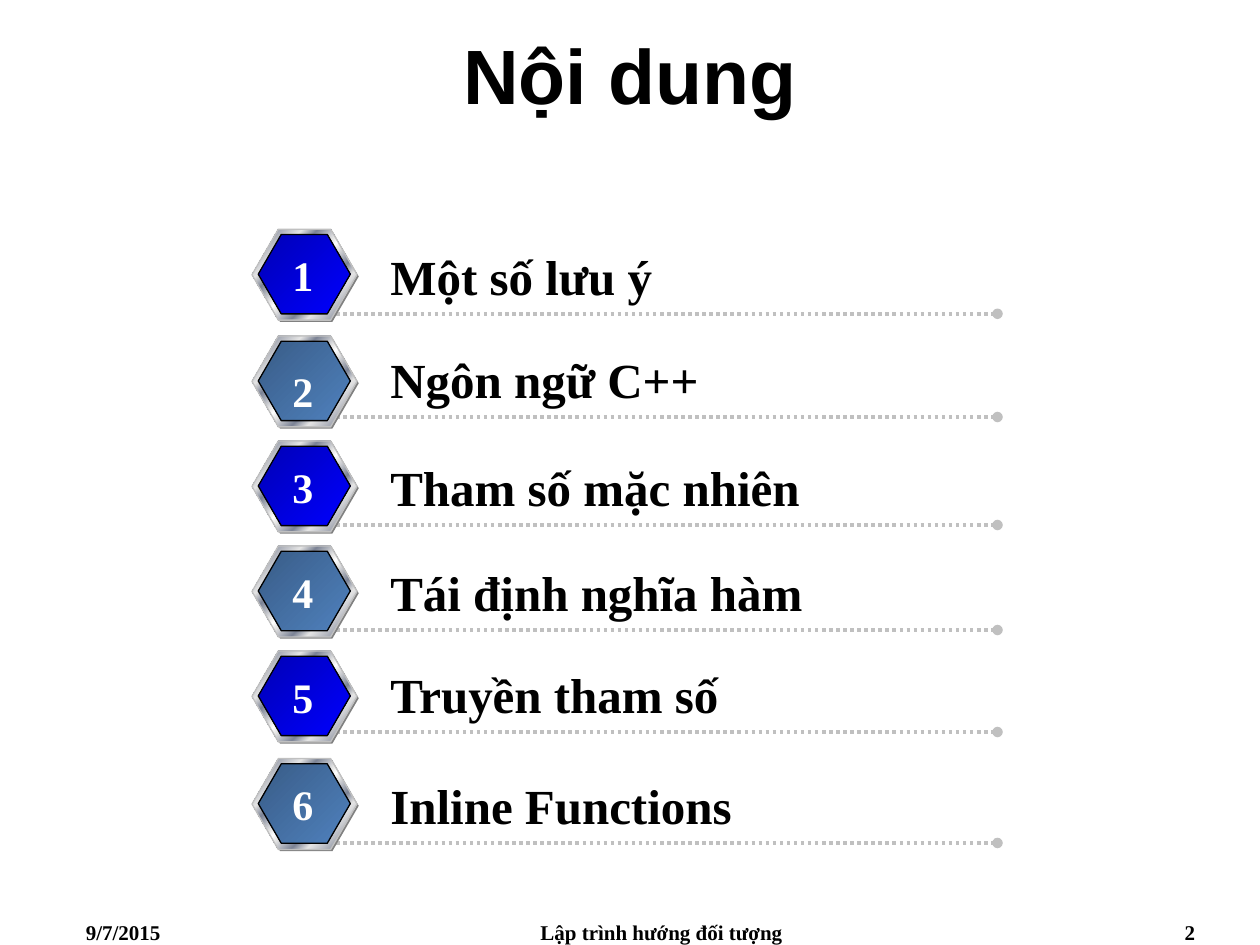
import pptx
import pptx.util
import pptx.dml.color
import pptx.enum.dml
import pptx.enum.shapes
import pptx.enum.text
import pptx.oxml
import pptx.oxml.ns

Pt = pptx.util.Pt
RGBColor = pptx.dml.color.RGBColor
PP_ALIGN = pptx.enum.text.PP_ALIGN
MSO_ANCHOR = pptx.enum.text.MSO_ANCHOR
MSO_SHAPE = pptx.enum.shapes.MSO_SHAPE
qn = pptx.oxml.ns.qn

BLACK = RGBColor(0x00, 0x00, 0x00)
WHITE = RGBColor(0xFF, 0xFF, 0xFF)
GRAY = RGBColor(0x80, 0x80, 0x80)
SILVER = RGBColor(0xC0, 0xC0, 0xC0)
LIGHT = RGBColor(0xE6, 0xE6, 0xE6)
STEEL = RGBColor(0x7D, 0x84, 0x96)
NAVY = RGBColor(0x00, 0x00, 0xB6)
BLUE = RGBColor(0x00, 0x00, 0xFF)
DARK_SLATE = RGBColor(0x39, 0x5C, 0x87)
SLATE = RGBColor(0x4F, 0x81, 0xBD)

METAL = [(0, LIGHT), (7, STEEL), (26, LIGHT), (34, STEEL), (46, LIGHT), (50, WHITE),
         (54, LIGHT), (66, STEEL), (74, LIGHT), (93, STEEL), (100, LIGHT)]
FACES = [[(0, NAVY), (100, BLUE)], [(0, DARK_SLATE), (100, SLATE)]]
SERIF = {"name": "Times New Roman", "bold": True}
NS = 'xmlns:a="http://schemas.openxmlformats.org/drawingml/2006/main"'


def write(sp, text, size, color, align, frame, font=SERIF):
    tf = sp.text_frame
    for key, value in frame.items():
        setattr(tf, key, value)
    p = tf.paragraphs[0]
    p.alignment = align
    r = p.add_run()
    r.text = text
    for key, value in {**font, "size": Pt(size)}.items():
        setattr(r.font, key, value)
    r.font.color.rgb = color


def add_hexagon(shapes, left, top, width, height, stops, line):
    sp = shapes.add_shape(MSO_SHAPE.HEXAGON, Pt(left), Pt(top), Pt(width), Pt(height))
    sp.shadow.inherit = False
    sp.adjustments[0] = 0.29
    if len(stops) == 1:
        sp.fill.solid()
        sp.fill.fore_color.rgb = stops[0][1]
    else:
        sp.fill.gradient()
        sp.fill.gradient_angle = 315
        gs_list = sp._element.spPr.find(".//" + qn("a:gsLst"))
        for gs in list(gs_list):
            gs_list.remove(gs)
        for pos, color in stops:
            gs_list.append(pptx.oxml.parse_xml(
                f'<a:gs {NS} pos="{pos * 1000}"><a:srgbClr val="{color}"/></a:gs>'))
    if line is None:
        sp.line.fill.background()
    else:
        sp.line.color.rgb = line
        sp.line.width = Pt(0.75)


prs = pptx.Presentation()
prs.slide_width, prs.slide_height = Pt(720), Pt(540)
s = prs.slides.add_slide(prs.slide_layouts[5])

title = s.shapes.title
title.left, title.top, title.width, title.height = Pt(0), Pt(0), Pt(720), Pt(84)
write(title, "Nội dung", 44, BLACK, PP_ALIGN.CENTER,
      {"vertical_anchor": MSO_ANCHOR.MIDDLE, "word_wrap": True},
      {"name": "Arial", "bold": True})

footers = [
    ("9/7/2015", 42, 168, PP_ALIGN.LEFT),
    ("Lập trình hướng đối tượng", 264, 228, PP_ALIGN.CENTER),
    ("2", 522, 168, PP_ALIGN.RIGHT),
]
for text, left, width, align in footers:
    sp = s.shapes.add_textbox(Pt(left), Pt(522), Pt(width), Pt(18))
    write(sp, text, 12, BLACK, align, {"word_wrap": True})

items = [
    ("Một số lưu ý", 131, 179.3, 139),
    ("Ngôn ngữ C++", 192, 238.3, 205.2),
    ("Tham số mặc nhiên", 252, 300, 260),
    ("Tái định nghĩa hàm", 312, 360, 320),
    ("Truyền tham số", 372, 418.3, 380),
    ("Inline Functions", 433.5, 481.7, 441.5),
]
for i, (text, top, rule_y, number_y) in enumerate(items):
    shapes = s.shapes.add_group_shape().shapes

    rule = shapes.add_connector(pptx.enum.shapes.MSO_CONNECTOR.STRAIGHT,
                                Pt(192), Pt(rule_y), Pt(570), Pt(rule_y))
    rule.line.color.rgb = SILVER
    rule.line.width = Pt(2)
    rule.line.dash_style = pptx.enum.dml.MSO_LINE.ROUND_DOT
    rule.line._get_or_add_ln().append(pptx.oxml.parse_xml(f'<a:tailEnd {NS} type="oval"/>'))
    rule._element.spPr.append(pptx.oxml.parse_xml(f"<a:effectLst {NS}/>"))

    add_hexagon(shapes, 145, top + 1, 60, 52, [(0, GRAY)], None)
    add_hexagon(shapes, 144, top, 60, 52, METAL, SILVER)
    add_hexagon(shapes, 147.6, top + 3, 52.6, 45.4, FACES[i % 2], BLACK)

    label = shapes.add_textbox(Pt(216), Pt(rule_y - 42), Pt(354), Pt(41))
    write(label, text, 28, BLACK, PP_ALIGN.LEFT, {"word_wrap": True})
    number = shapes.add_textbox(Pt(159.8), Pt(number_y), Pt(26.6), Pt(36))
    write(number, str(i + 1), 24, WHITE, PP_ALIGN.CENTER, {"word_wrap": False})

prs.save("out.pptx")
